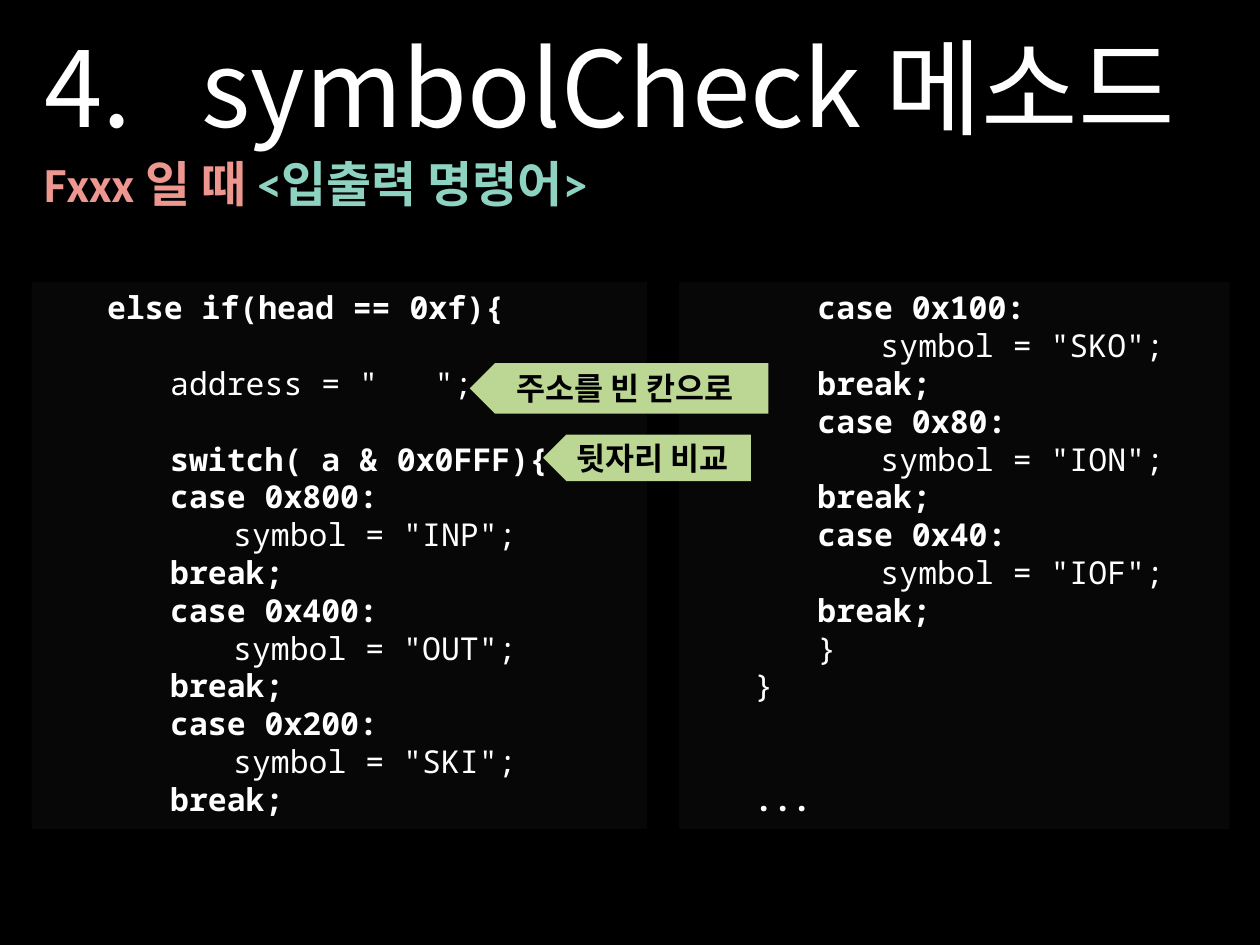
from lxml.etree import SubElement
from pptx import Presentation
from pptx.dml.color import RGBColor
from pptx.enum.shapes import MSO_SHAPE
from pptx.enum.text import MSO_ANCHOR, PP_ALIGN
from pptx.oxml.ns import qn
from pptx.util import Cm, Pt

BLACK = RGBColor(0x00, 0x00, 0x00)
WHITE = RGBColor(0xFF, 0xFF, 0xFF)
PANEL = RGBColor(0x0D, 0x0D, 0x0D)
CORAL = RGBColor(0xEE, 0x97, 0x91)
MINT = RGBColor(0x8E, 0xD3, 0xC2)
GREEN = RGBColor(0xBC, 0xD6, 0x94)
KOREAN_FONT = "Noto Sans CJK KR"
INDENT = Cm(1.27)
LINE_HEIGHT = 21.6


def format_run(run, size, font_name, color, bold):
    run.font.size = Pt(size)
    run.font.name = font_name
    run.font.color.rgb = color
    run.font.bold = bold
    SubElement(run.font._element, qn("a:ea"), typeface=KOREAN_FONT)


def add_filled_shape(kind, left, top, width, height, color):
    shape = slide.shapes.add_shape(kind, Cm(left), Cm(top), Cm(width), Cm(height))
    shape.shadow.inherit = False
    shape.fill.solid()
    shape.fill.fore_color.rgb = color
    shape.line.fill.background()
    return shape


presentation = Presentation()
presentation.slide_width = Cm(25.4)
presentation.slide_height = Cm(19.05)
slide = presentation.slides.add_slide(presentation.slide_layouts[6])
slide.background.fill.solid()
slide.background.fill.fore_color.rgb = BLACK

# (indent level, blank lines above, bold, code)
right_code = [
    (2, 0, True, "case 0x100:"),
    (3, 0, False, 'symbol = "SKO";'),
    (2, 0, True, "break;"),
    (2, 0, True, "case 0x80:"),
    (3, 0, False, 'symbol = "ION";'),
    (2, 0, True, "break;"),
    (2, 0, True, "case 0x40:"),
    (3, 0, False, 'symbol = "IOF";'),
    (2, 0, True, "break;"),
    (2, 0, False, "}"),
    (1, 0, False, "}"),
    (1, 2, True, "..."),
]
left_code = [
    (1, 0, True, "else if(head == 0xf){"),
    (2, 1, False, 'address = "   ";'),
    (2, 1, True, "switch( a & 0x0FFF){"),
    (2, 0, True, "case 0x800:"),
    (3, 0, False, 'symbol = "INP";'),
    (2, 0, True, "break;"),
    (2, 0, True, "case 0x400:"),
    (3, 0, False, 'symbol = "OUT";'),
    (2, 0, True, "break;"),
    (2, 0, True, "case 0x200:"),
    (3, 0, False, 'symbol = "SKI";'),
    (2, 0, True, "break;"),
]
for left, width, code in [(13.69, 11.1, right_code), (0.64, 12.4, left_code)]:
    panel = add_filled_shape(MSO_SHAPE.RECTANGLE, left, 5.69, width, 11.02, PANEL)
    color_element = panel.fill._xPr.find(qn("a:solidFill"))[0]
    SubElement(color_element, qn("a:alpha"), val="60000")
    text_frame = panel.text_frame
    text_frame.word_wrap = True
    text_frame.vertical_anchor = MSO_ANCHOR.TOP
    text_frame.text = "\n".join(line[-1] for line in code)
    for paragraph, (level, blank_lines, bold, text) in zip(text_frame.paragraphs, code):
        paragraph.alignment = PP_ALIGN.LEFT
        paragraph._p.get_or_add_pPr().set("marL", str(level * INDENT))
        if blank_lines:
            paragraph.space_before = Pt(blank_lines * LINE_HEIGHT)
        format_run(paragraph.runs[0], 18, "Noto Sans Mono", WHITE, bold)

subtitle = slide.shapes.add_textbox(Cm(0.64), Cm(2.97), Cm(13.03), Cm(1.45))
subtitle.text_frame.word_wrap = True
for text, color in [("Fxxx 일 때 ", CORAL), ("<입출력 명령어>", MINT)]:
    run = subtitle.text_frame.paragraphs[0].add_run()
    run.text = text
    format_run(run, 28, "Calibri", color, True)

title = slide.shapes.add_textbox(Cm(0.64), Cm(0.33), Cm(24.13), Cm(2.82))
title.text_frame.word_wrap = True
title.text_frame.text = "symbolCheck 메소드"
paragraph = title.text_frame.paragraphs[0]
properties = paragraph._p.get_or_add_pPr()
properties.set("marL", str(Cm(3.18)))
properties.set("indent", str(Cm(-3.18)))
SubElement(properties, qn("a:buFont"), typeface=KOREAN_FONT)
SubElement(properties, qn("a:buAutoNum"), type="arabicPeriod", startAt="4")
format_run(paragraph.runs[0], 60, KOREAN_FONT, WHITE, False)

for text, left, top, width, height in [
    ("주소를 빈 칸으로", 9.47, 7.32, 6.02, 1.02),
    ("뒷자리 비교", 10.95, 8.76, 4.19, 0.94),
]:
    callout = add_filled_shape(MSO_SHAPE.PENTAGON, left, top, width, height, GREEN)
    callout._element.spPr.get_or_add_xfrm().set("flipH", "1")
    callout.text_frame.text = text
    callout.text_frame.vertical_anchor = MSO_ANCHOR.MIDDLE
    paragraph = callout.text_frame.paragraphs[0]
    paragraph.alignment = PP_ALIGN.CENTER
    format_run(paragraph.runs[0], 18, "Calibri", BLACK, True)

presentation.save("out.pptx")
